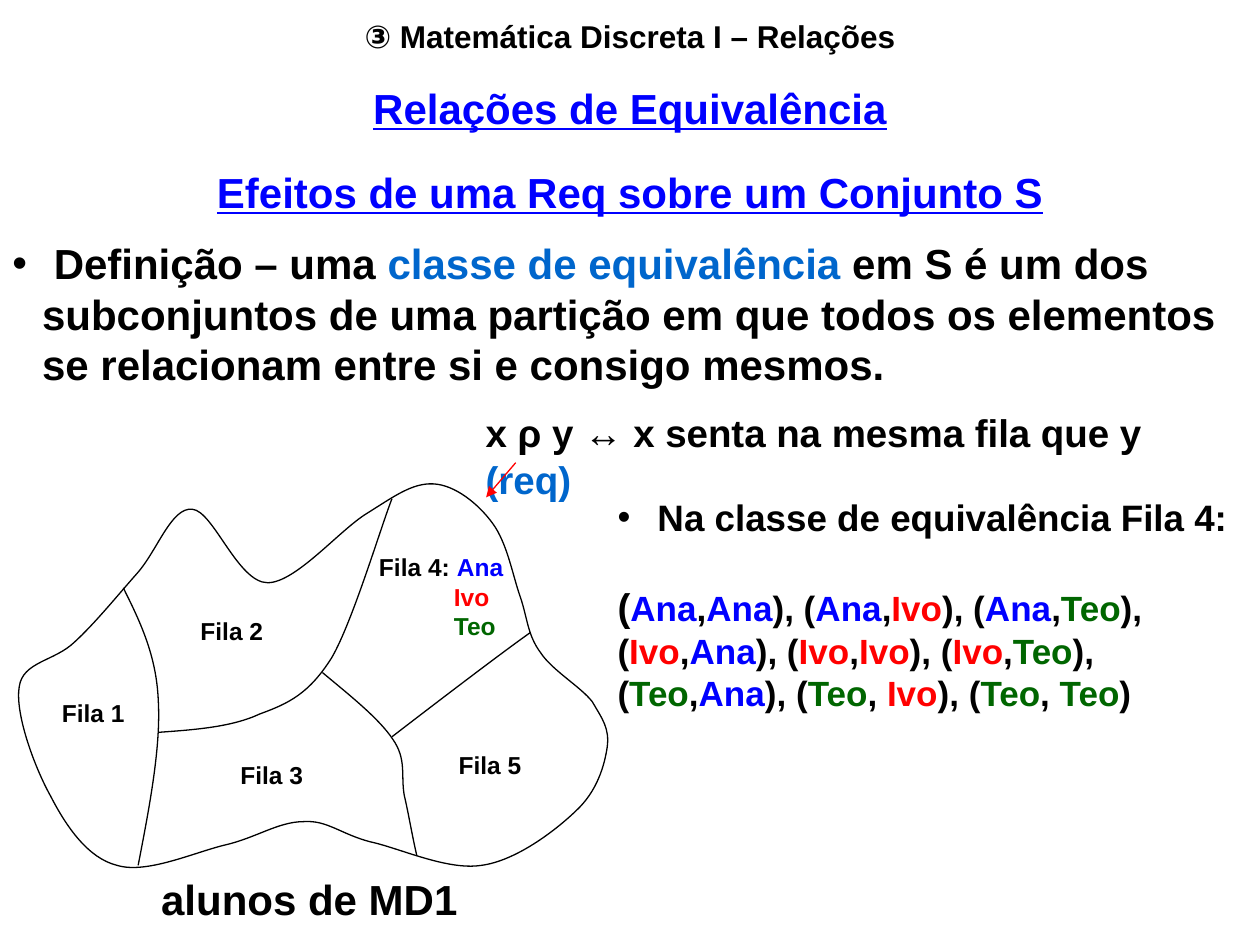
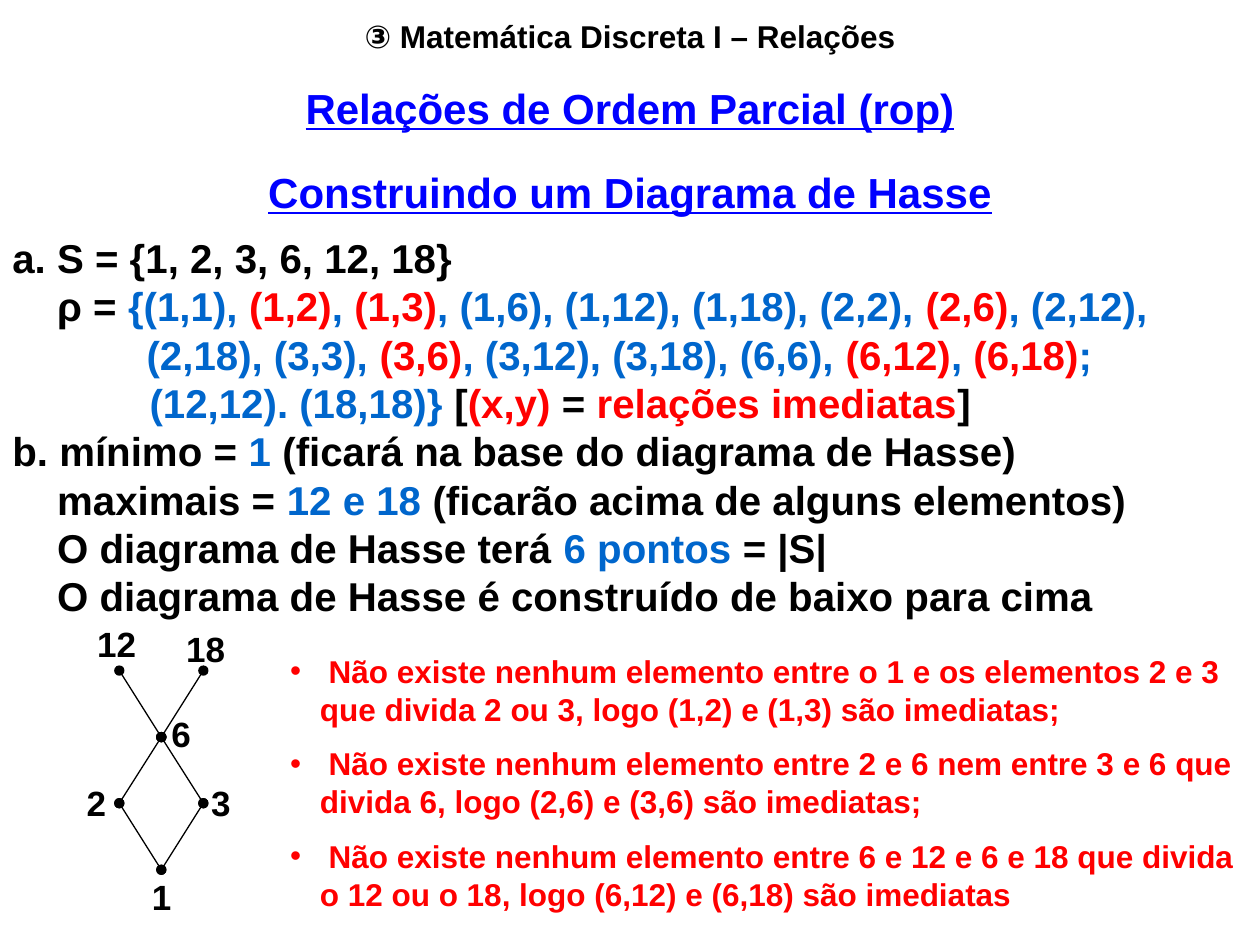
from itertools import product

from lxml.etree import SubElement
from pptx import Presentation
from pptx.dml.color import RGBColor
from pptx.enum.shapes import MSO_CONNECTOR
from pptx.enum.text import MSO_AUTO_SIZE, PP_ALIGN
from pptx.oxml.ns import qn
from pptx.util import Pt

# Shared style
COLOURS = {
    "black": "000000",
    "blue": "0000FF",
    "sky": "0066CC",
    "red": "FF0000",
    "green": "006600",
}
FONT = "Arial"
SLIDE_WIDTH, SLIDE_HEIGHT = 720, 540
LINE_WIDTH = 0.75
BULLET_INDENT = 17
COURSE = "③ Matemática Discreta I – Relações"
HEADING = {"size": 24, "colour": "blue", "underline": True, "align": PP_ALIGN.CENTER}

# Slide 1: a run is a plain string or a (text, colour) pair
EQUIVALENCE_TITLES = ["Relações de Equivalência", "Efeitos de uma Req sobre um Conjunto S"]
DEFINITION = [
    " Definição – uma ",
    ("classe de equivalência", "sky"),
    " em S é um dos subconjuntos de uma partição em que todos os elementos"
    " se relacionam entre si e consigo mesmos.",
]
RELATION = ["x ρ y ↔ x senta na mesma fila que y ", ("(req)", "sky")]
CLASS_HEADING = " Na classe de equivalência Fila 4:"
STUDENTS = {"Ana": "blue", "Ivo": "red", "Teo": "green"}
SPACED_PAIRS = [("Teo", "Ivo"), ("Teo", "Teo")]
ROW_LABELS = {
    "Fila 1": (28.3, 395.5),
    "Fila 2": (107.5, 348.5),
    "Fila 3": (130.3, 430.5),
    "Fila 5": (255, 425),
}

# Curves: start point, then two control points and an end point per segment
SET_OUTLINE = [
    (110, 291),
    (122, 292), (136, 333), (153, 333),
    (169, 333), (194, 303), (209.5, 293.5),
    (225.5, 283.5), (235.5, 276), (247.5, 276.5),
    (260, 277), (273.5, 288), (281.5, 299),
    (290, 310.5), (293, 329), (297.5, 341.5),
    (301.5, 353.5), (301.5, 363), (309, 373),
    (315.5, 383), (332, 392.5), (338.5, 401),
    (344, 410.5), (348.5, 416), (347, 427),
    (345.5, 437), (341.5, 452), (329, 463.5),
    (317, 475), (294.5, 492), (275, 494.5),
    (255.5, 497.5), (228, 484.5), (211.5, 481),
    (194.5, 476.5), (187, 468.5), (173.5, 469.5),
    (159, 469.5), (146, 479), (128, 483),
    (110, 487.5), (83.5, 499.5), (67, 494.5),
    (50.5, 490.5), (38, 472.5), (29, 455),
    (19.5, 438), (8.5, 407.5), (11, 392.5),
    (13, 378), (31, 378), (42.5, 367),
    (54, 356.5), (67, 340.5), (78.5, 327.5),
    (90, 314.5), (98, 289.5), (110, 291),
]
DIVIDERS = [
    [(70.5, 336), (80, 355), (89.5, 374.5), (90.5, 400.5),
     (92, 427), (85.5, 461), (79, 494.5)],
    [(90.5, 418.5), (111.5, 417), (132.5, 415.5), (148.5, 408),
     (165, 402), (176.5, 396.5), (189.5, 376),
     (201.5, 355.5), (218, 300), (224, 285)],
    [(184.2, 384.3), (200, 397.5), (216.5, 410.5), (224.5, 422.5),
     (232.5, 434), (229, 443), (231, 454.5),
     (233.5, 465), (235.5, 477.5), (238.2, 489)],
    [(224, 421), (256.5, 396), (289.5, 371), (303, 361.5)],
]

# Slide 2: each line of the construction is its left indent and its runs
ORDER_TITLES = ["Relações de Ordem Parcial (rop)", "Construindo um Diagrama de Hasse"]
CONSTRUCTION = [
    (0, ["a. S = {1, 2, 3, 6, 12, 18}"]),
    (25.6, ["ρ = ", ("{(1,1), ", "sky"), ("(1,2)", "red"), (", ", "sky"), ("(1,3)", "red"),
            (", (1,6), (1,12), (1,18), (2,2), ", "sky"), ("(2,6)", "red"), (", (2,12),", "sky")]),
    (76.7, [("(2,18), (3,3), ", "sky"), ("(3,6)", "red"),
            (", (3,12), (3,18), (6,6), ", "sky"), ("(6,12)", "red"),
            (", ", "sky"), ("(6,18)", "red"), (";", "sky")]),
    (78.4, [("(12,12). (18,18)} ", "sky"), "[", ("(x,y)", "red"), " = ",
            ("relações imediatas", "red"), "]"]),
    (0, ["b. mínimo =", (" 1 ", "sky"), "(ficará na base do diagrama de Hasse)"]),
    (25.6, ["maximais =", (" 12 e 18", "sky"), " (ficarão acima de alguns elementos)"]),
    (25.6, ["O diagrama de Hasse terá ", ("6 pontos", "sky"), " = |S|"]),
    (25.6, ["O diagrama de Hasse é construído de baixo para cima"]),
]
REMARKS = [
    " Não existe nenhum elemento entre o 1 e os elementos 2 e 3 que divida 2 ou 3,"
    " logo (1,2) e (1,3) são imediatas;",
    " Não existe nenhum elemento entre 2 e 6 nem entre 3 e 6 que divida 6,"
    " logo (2,6) e (3,6) são imediatas;",
    " Não existe nenhum elemento entre 6 e 12 e 6 e 18 que divida o 12 ou o 18,"
    " logo (6,12) e (6,18) são imediatas",
]
# Hasse diagram: point position, then label corner
LEFT, MIDDLE, RIGHT = 68.2, 92.2, 116.2
HASSE_POINTS = {
    "1": ((MIDDLE, 497), (79.7, 497)),
    "2": ((LEFT, 459), (42.5, 443)),
    "3": ((RIGHT, 459), (113.6, 443)),
    "6": ((MIDDLE, 421.2), (90.9, 403.4)),
    "12": ((LEFT, 383.2), (48.4, 352)),
    "18": ((RIGHT, 383.2), (99.3, 355)),
}
HASSE_EDGES = [("3", "1"), ("6", "3"), ("2", "1"), ("6", "2"), ("18", "6"), ("12", "6")]


def rgb(colour):
    return RGBColor.from_string(COLOURS[colour])


def line(runs, size, **options):
    """Describe one paragraph."""
    return {"runs": [runs] if isinstance(runs, str) else runs, "size": size, **options}


def indent(paragraph, left, bullet_colour=None):
    properties = paragraph._p.get_or_add_pPr()
    properties.set("marL", str(Pt(left)))
    properties.set("indent", str(-Pt(left) if bullet_colour else 0))
    if bullet_colour:
        colour = SubElement(properties, qn("a:buClr"))
        SubElement(colour, qn("a:srgbClr"), val=COLOURS[bullet_colour])
        SubElement(properties, qn("a:buFont"), typeface=FONT)
        SubElement(properties, qn("a:buChar"), char="•")


def add_text(slide, box, lines, wrap=True):
    shape = slide.shapes.add_textbox(*map(Pt, box))
    frame = shape.text_frame
    frame.word_wrap = wrap
    frame.auto_size = MSO_AUTO_SIZE.SHAPE_TO_FIT_TEXT
    for number, content in enumerate(lines):
        paragraph = frame.add_paragraph() if number else frame.paragraphs[0]
        colour = content.get("colour", "black")
        if content.get("bullet"):
            indent(paragraph, BULLET_INDENT, colour)
        elif content.get("left"):
            indent(paragraph, content["left"])
        if content.get("before"):
            paragraph.space_before = Pt(content["before"])
        paragraph.alignment = content.get("align", PP_ALIGN.LEFT)
        for item in content["runs"]:
            text, run_colour = (item, colour) if isinstance(item, str) else item
            run = paragraph.add_run()
            run.text = text
            font_format = {"name": FONT, "size": Pt(content["size"]), "bold": True,
                           "underline": content.get("underline", False)}
            for name, value in font_format.items():
                setattr(run.font, name, value)
            run.font.color.rgb = rgb(run_colour)
    return shape


def add_line(slide, start, end, colour, **ends):
    connector = slide.shapes.add_connector(MSO_CONNECTOR.STRAIGHT, *map(Pt, (*start, *end)))
    connector.line.color.rgb = rgb(colour)
    connector.line.width = Pt(LINE_WIDTH)
    properties = connector._element.spPr
    for tag, kind in ends.items():
        SubElement(properties.find(qn("a:ln")), qn(f"a:{tag}"), type=kind)
    SubElement(properties, qn("a:effectLst"))


def add_curve(slide, points, close=False):
    """Draw a chain of cubic curves through every third point."""
    start, *others = [tuple(map(Pt, point)) for point in points]
    builder = slide.shapes.build_freeform(*start)
    builder.add_line_segments(others, close=close)
    shape = builder.convert_to_shape()

    # Join each three straight segments into one cubic curve
    segments = list(shape._element.iter(qn("a:lnTo")))
    for first in range(0, len(others), 3):
        curve, *rest = segments[first:first + 3]
        curve.tag = qn("a:cubicBezTo")
        for segment in rest:
            curve.append(segment[0])
            segment.getparent().remove(segment)

    shape.shadow.inherit = False
    shape.fill.background()
    shape.line.color.rgb = rgb("black")
    shape.line.width = Pt(LINE_WIDTH)


def new_slide(presentation, titles, body, height):
    """Add a slide with the course header, two headings and the body text."""
    slide = presentation.slides.add_slide(presentation.slide_layouts[6])
    add_text(slide, (0, 6, SLIDE_WIDTH, 29), [line(COURSE, 18, align=PP_ALIGN.CENTER)])
    headings = [{"runs": [title], "before": 19.2 * number, **HEADING}
                for number, title in enumerate(titles)]
    add_text(slide, (0, 43.5, SLIDE_WIDTH, height), headings + body)
    return slide


def pair_runs():
    """Write every ordered pair of students."""
    runs = []
    for pair in product(STUDENTS, repeat=2):
        first, second = pair
        runs += ["), (" if runs else "(", (first, STUDENTS[first]),
                 ", " if pair in SPACED_PAIRS else ",", (second, STUDENTS[second])]
    return runs + [")"]


def build_equivalence(presentation):
    slide = new_slide(presentation, EQUIVALENCE_TITLES,
                      [line(DEFINITION, 24, bullet=True, before=12)], 183)
    add_text(slide, (270.5, 230.4, 440, 34), [line(RELATION, 22)])

    # Partitioned set
    add_curve(slide, SET_OUTLINE, close=True)
    for divider in DIVIDERS:
        add_curve(slide, divider)
    for label, corner in ROW_LABELS.items():
        add_text(slide, (*corner, 50.5, 24.5), [line(label, 14)], wrap=False)
    first, *others = STUDENTS.items()
    add_text(slide, (209.5, 312, 88, 57.5),
             [line(["Fila 4: ", first], 14)] + [line([student], 14, left=42.8) for student in others])
    add_text(slide, (85, 495.7, 187, 36), [line("alunos de MD1", 24)])
    add_line(slide, (294.7, 264.4), (277.8, 284.2), "red", tailEnd="triangle")

    # Pairs in the class
    pairs_box = add_text(slide, (345.8, 279.4, 365.8, 132.5), [
        line(CLASS_HEADING, 21, bullet=True),
        line(pair_runs(), 20, before=25.2),
    ])
    pairs_box.text_frame.paragraphs[1].runs[0].font.size = Pt(22)


def build_hasse(presentation):
    body = [line(runs, 23, left=left, before=0 if number else 9.6)
            for number, (left, runs) in enumerate(CONSTRUCTION)]
    slide = new_slide(presentation, ORDER_TITLES, body, 314.6)

    # Hasse diagram
    for upper, lower in HASSE_EDGES:
        add_line(slide, HASSE_POINTS[upper][0], HASSE_POINTS[lower][0], "black",
                 headEnd="oval", tailEnd="oval")
    for label, (_, corner) in HASSE_POINTS.items():
        width = 14.2 + 11.2 * len(label)
        add_text(slide, (*corner, width, 31.5), [line(label, 20)], wrap=False)

    # Remarks
    add_text(slide, (158.7, 369, 561.3, 156),
             [line(remark, 18, colour="red", bullet=True, before=9.6 if number else 0)
              for number, remark in enumerate(REMARKS)])


def main():
    presentation = Presentation()
    presentation.slide_width = Pt(SLIDE_WIDTH)
    presentation.slide_height = Pt(SLIDE_HEIGHT)
    build_equivalence(presentation)
    build_hasse(presentation)
    presentation.save("out.pptx")


if __name__ == "__main__":
    main()
